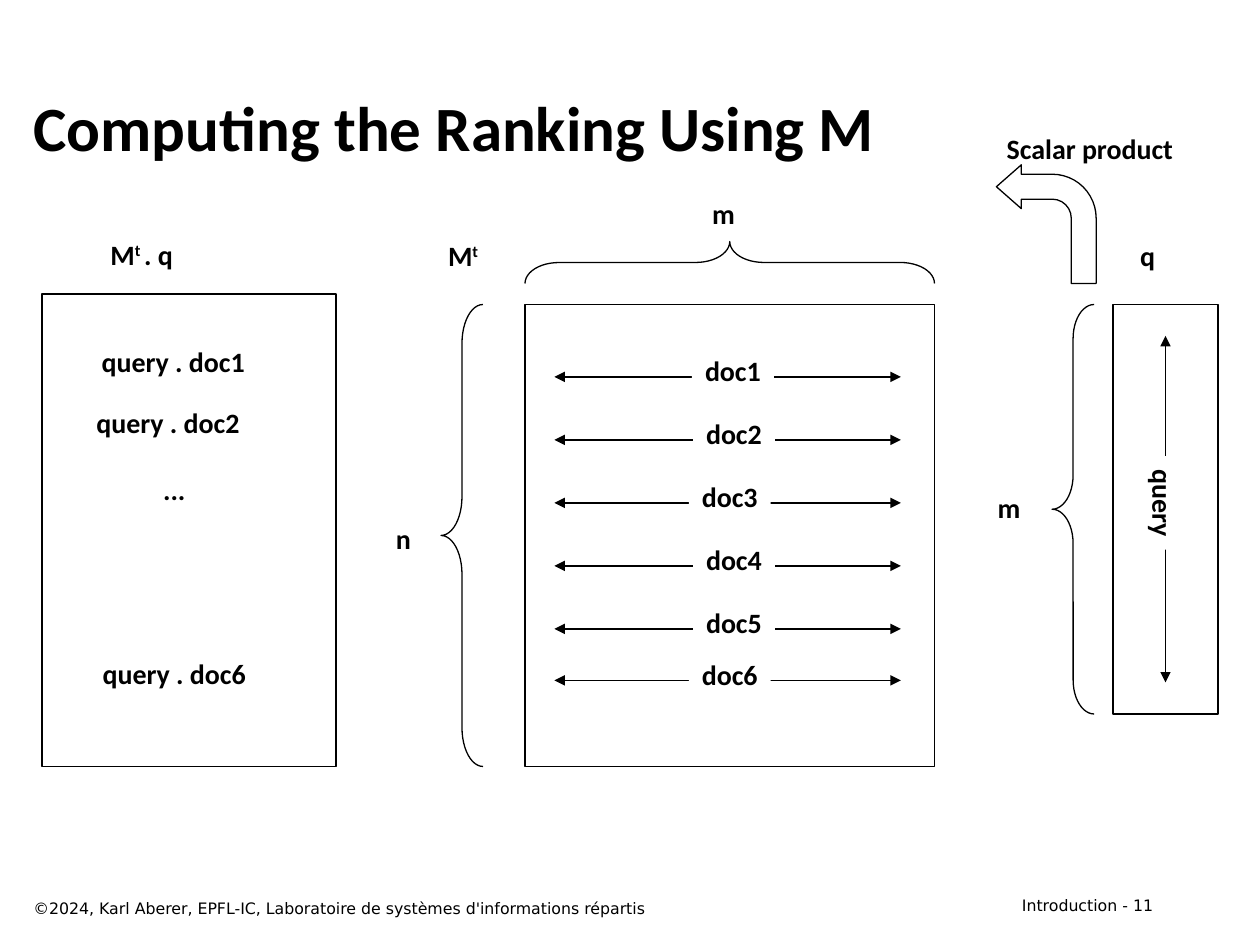
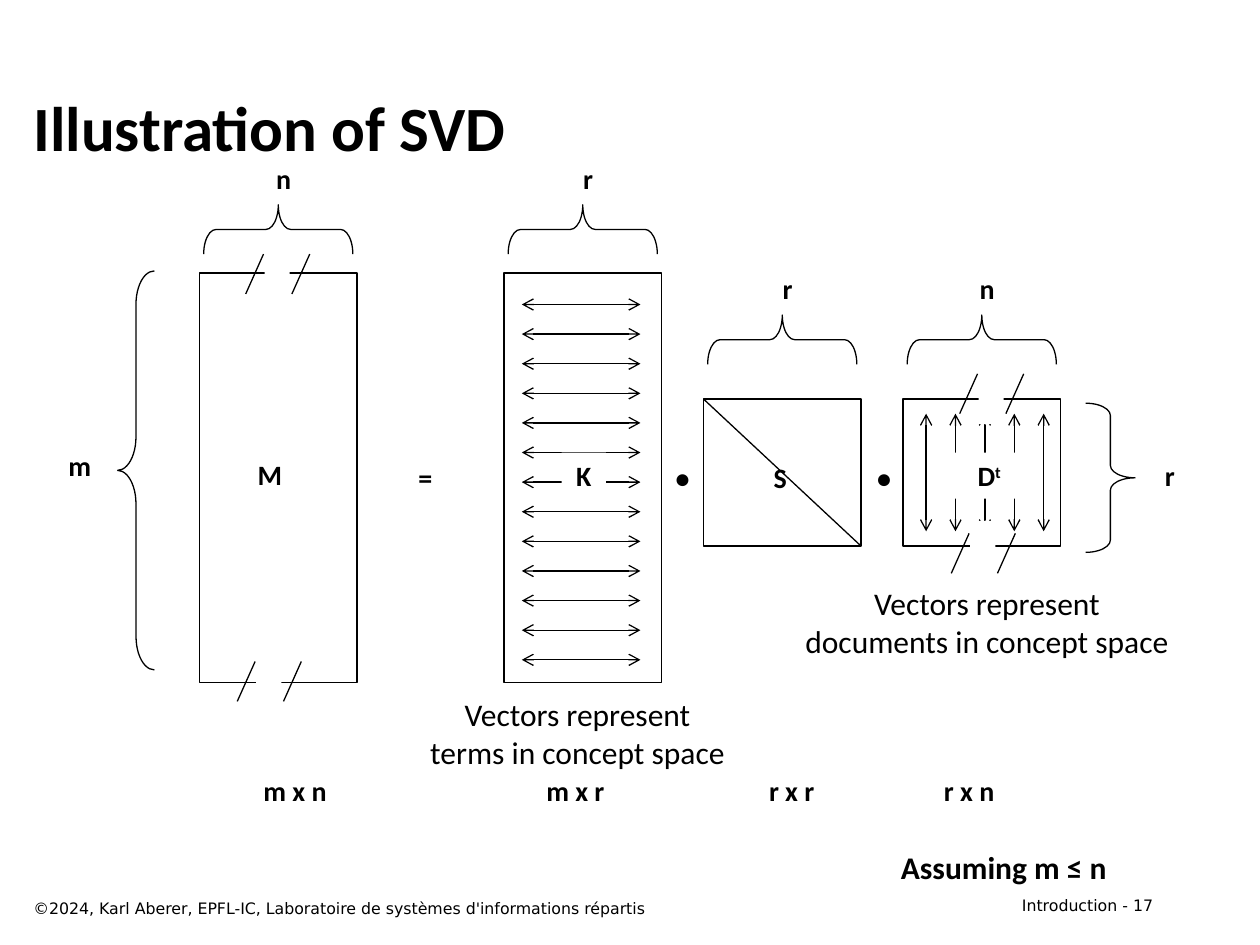
from pptx import Presentation
from pptx.dml.color import RGBColor
from pptx.enum.shapes import MSO_CONNECTOR as CONN, MSO_SHAPE as SHAPE
from pptx.enum.text import MSO_ANCHOR as ANCHOR, MSO_AUTO_SIZE as FIT, PP_ALIGN as ALIGN
from pptx.oxml.ns import qn
from pptx.util import Inches, Pt
from lxml.etree import SubElement

BLACK = RGBColor(0x00, 0x00, 0x00)
WHITE = RGBColor(0xFF, 0xFF, 0xFF)
BODY_FONT = "Calibri"
FOOTER_FONT = "DejaVu Sans"
LINE_WIDTH = Pt(0.75)
LABEL_H = 4.4

# The slide is a grid of 120 columns and 90 rows; all lengths are in cells
COLS, ROWS = 120, 90
SLIDE_W, SLIDE_H = Inches(10), Inches(7.5)

FOOTER = "©2024, Karl Aberer, EPFL-IC, Laboratoire de systèmes d'informations répartis"


def cells(*lengths):
    return [round(n * SLIDE_W / COLS) for n in lengths]


# Text
def write(tf, text, size=16, bold=True, font=BODY_FONT, align=ALIGN.CENTER,
          anchor=ANCHOR.TOP, wrap=False):
    """Fill a text frame; \\n parts paragraphs, ^...^ marks superscript."""
    tf.auto_size = FIT.NONE
    tf.word_wrap = wrap
    tf.vertical_anchor = anchor
    for i, line in enumerate(text.split("\n")):
        p = tf.paragraphs[0] if i == 0 else tf.add_paragraph()
        p.alignment = align
        for j, part in enumerate(line.split("^")):
            if not part:
                continue
            r = p.add_run()
            r.text = part
            r.font.name, r.font.size, r.font.bold = font, Pt(size), bold
            r.font.color.rgb = BLACK
            if j % 2:
                r.font._element.set("baseline", "30000")


def text_box(s, text, x, y, w, h, **fmt):
    sp = s.shapes.add_textbox(*cells(x, y, w, h))
    write(sp.text_frame, text, **fmt)
    return sp


def label(s, text, cx, y, w=4, h=LABEL_H, masked=False, **fmt):
    """Text centred on column cx; masked hides what lies behind it."""
    sp = text_box(s, text, cx - w / 2, y, w, h, **fmt)
    if masked:
        sp.fill.solid()
        sp.fill.fore_color.rgb = WHITE
    return sp


# Shapes and lines
def outline(s, x, y, w, h, kind=SHAPE.RECTANGLE, adjust=()):
    sp = s.shapes.add_shape(kind, *cells(x, y, w, h))
    sp.shadow.inherit = False
    sp.fill.background()
    sp.line.color.rgb = BLACK
    sp.line.width = LINE_WIDTH
    for i, value in enumerate(adjust):
        sp.adjustments[i] = value
    return sp


def white_patch(s, x, y, w, h):
    sp = outline(s, x, y, w, h)
    sp.fill.solid()
    sp.fill.fore_color.rgb = WHITE
    sp.line.fill.background()


def brace(s, x, y, w, h, curve=0.25, rotation=0):
    """Brace covering the given area; turned by 90 it opens downwards."""
    if rotation == 90:
        x, y, w, h = x + (w - h) / 2, y + (h - w) / 2, h, w
    sp = outline(s, x, y, w, h, SHAPE.LEFT_BRACE, (curve, 0.5))
    sp.rotation = rotation


def line(s, x1, y1, x2, y2, heads=None):
    c = s.shapes.add_connector(CONN.STRAIGHT, *cells(x1, y1, x2, y2))
    c.line.color.rgb = BLACK
    c.line.width = LINE_WIDTH
    if heads:
        ln = c.line._get_or_add_ln()
        for end in ("a:headEnd", "a:tailEnd"):
            SubElement(ln, qn(end), type=heads)
    SubElement(c._element.spPr, qn("a:effectLst"))


def edge_break(s, x, y):
    """Two slashes with a gap in the matrix edge between them."""
    for shift in (0, 4.4):
        line(s, x + shift - 0.1, y + 1.2, x + shift - 1.8, y + 5)
    white_patch(s, x, y, 2.4, 6)


# Shared frame: title, footer, page number
def new_slide(prs, title, page):
    s = prs.slides.add_slide(prs.slide_layouts[5])
    t = s.shapes.title
    t.left, t.top, t.width, t.height = cells(2, 4, 109, 16)
    write(t.text_frame, title, size=36, align=ALIGN.LEFT,
          anchor=ANCHOR.MIDDLE, wrap=True)
    small = dict(size=9, bold=False, font=FOOTER_FONT, wrap=True)
    text_box(s, FOOTER, 2, 85, 77, 3, align=ALIGN.LEFT, **small)
    text_box(s, f"Introduction - {page}", 86, 84.7, 25, 3, align=ALIGN.RIGHT, **small)
    return s


def ranking_slide(prs):
    s = new_slide(prs, "Computing the Ranking Using M", 11)

    # Query vector
    outline(s, 106, 29, 10, 39)
    line(s, 111, 32, 111, 65, heads="triangle")
    label(s, "query", 110.8, 45.7, 8.9, masked=True).rotation = 90
    label(s, "q", 109.3, 22.1)
    brace(s, 100.2, 29, 4, 39, curve=0.81)
    label(s, "m", 96.1, 46.1)

    # Document matrix
    outline(s, 50, 29, 39, 44)
    doc_rows = [35.9 + 6 * i for i in range(5)] + [64.8]
    doc_centres = [69.8, 69.9, 69.5, 69.9, 69.9, 69.5]
    for i, (row, cx) in enumerate(zip(doc_rows, doc_centres), 1):
        line(s, 85.8, row, 52.8, row, heads="triangle")
        label(s, f"doc{i}", cx, row - 2.8, 7.8, masked=True)
    label(s, "M^t^", 44.1, 22.1, 5.4)
    brace(s, 50, 23, 39, 4, curve=0.81, rotation=90)
    label(s, "m", 68.9, 18.1)
    brace(s, 42, 29, 4, 44, curve=0.92)
    label(s, "n", 38.4, 49.1)

    # Result vector
    outline(s, 4, 28, 28, 45)
    label(s, "M^t ^. q", 13.5, 22, 17)
    for text, cx, y in (("query . doc1", 16.5, 32.2), ("query . doc2", 16, 38),
                        ("...", 16.6, 44.4), ("query . doc6", 16.6, 61.9)):
        label(s, text, cx, y, 16.5)

    # Scalar product arrow
    arrow = outline(s, 94.9, 15.7, 9.5, 11.3, SHAPE.BENT_ARROW,
                    (0.25, 0.22, 0.25, 0.44))
    arrow._element.spPr.find(qn("a:xfrm")).set("flipH", "1")
    label(s, "Scalar product", 103.8, 11.9, 18.5)


def svd_slide(prs):
    s = new_slide(prs, "Illustration of SVD", 17)

    # Matrices: column, row, height, top brace row, name above
    for x, y, h, brace_y, columns in ((19, 26, 39, 19.5, "n"), (48, 26, 39, 19.5, "r"),
                                      (67, 38, 14, 30, "r"), (86, 38, 14, 30, "n")):
        outline(s, x, y, 15, h)
        brace(s, x + 0.4, brace_y, 14.2, 4.7, rotation=90)
        label(s, columns, x + 8, brace_y - 4.7)
    line(s, 67, 38, 82, 52)

    # Side braces
    brace(s, 11.2, 25.8, 3.5, 38, curve=0.91)
    label(s, "m", 7.6, 42.1)
    brace(s, 103.4, 38.4, 4.7, 14.2, rotation=180)
    label(s, "r", 111.4, 43.1)

    # Row vectors of K and column vectors of D
    for i in range(13):
        row = 29 + 2.82 * i
        line(s, 61, row, 49.7, row, heads="arrow")
    for i in range(5):
        col = 88.2 + 2.8 * i
        line(s, col, 39.4, col, 50.6, heads="arrow")

    # Names and operators
    label(s, "K", 55.6, 43.1, 4.2, masked=True)
    label(s, "D^t^", 94.2, 43.1, 6.6, masked=True)
    for text, cx, y in (("M", 25.7, 43), ("=", 40.5, 43.3), ("•", 65, 43.3),
                        ("S", 74.3, 43.3), ("•", 84.2, 43.3)):
        label(s, text, cx, y)

    # Explanations and dimensions
    for space, cx, y, w in (("terms", 55, 65.6, 31), ("documents", 94, 55, 37.4)):
        label(s, f"Vectors represent\n{space} in concept space", cx, y, w, 8.5,
              size=18, bold=False)
    for text, cx in (("m x n", 28.1), ("m x r", 54.8), ("r x r", 75.4), ("r x n", 92.3)):
        label(s, text, cx, 73.1, 8)
    label(s, "Assuming m ≤ n", 95.6, 80.2, 22.2, 4.8, size=18)

    # Breaks in the n side of M and D
    for x, y in ((25.2, 23), (24.4, 61.8), (93.2, 34.4), (92.4, 49.6)):
        edge_break(s, x, y)


def main():
    prs = Presentation()
    prs.slide_width, prs.slide_height = SLIDE_W, SLIDE_H
    ranking_slide(prs)
    svd_slide(prs)
    prs.save("out.pptx")


if __name__ == "__main__":
    main()
